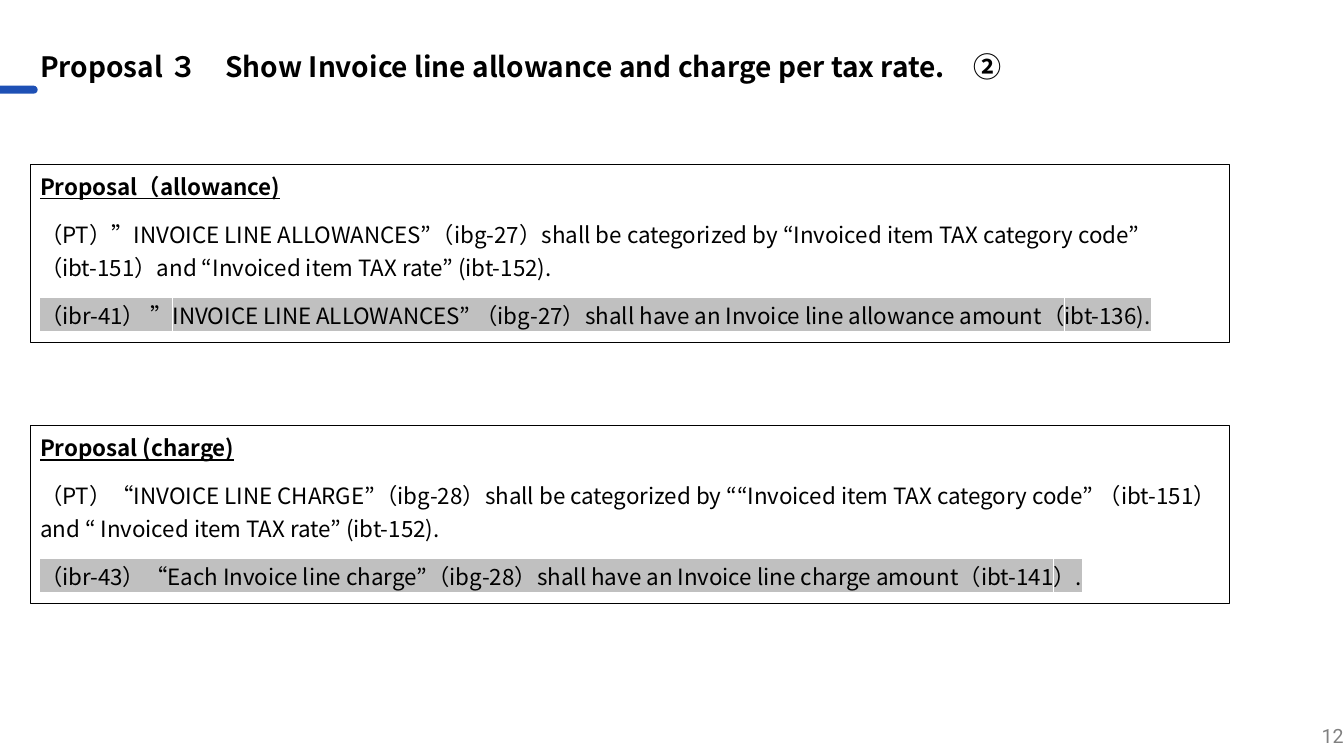
from dataclasses import dataclass

from lxml import etree
from pptx import Presentation
from pptx.dml.color import RGBColor
from pptx.enum.shapes import MSO_SHAPE
from pptx.enum.text import MSO_ANCHOR, PP_ALIGN
from pptx.oxml.ns import qn
from pptx.util import Cm, Pt

RECTANGLE = MSO_SHAPE.RECTANGLE
ROUNDED_RECTANGLE = MSO_SHAPE.ROUNDED_RECTANGLE
TOP, MIDDLE = MSO_ANCHOR.TOP, MSO_ANCHOR.MIDDLE
LEFT, RIGHT = PP_ALIGN.LEFT, PP_ALIGN.RIGHT


@dataclass(frozen=True)
class Theme:
    text: RGBColor = RGBColor(0x00, 0x00, 0x00)
    accent: RGBColor = RGBColor(0x1E, 0x50, 0xB5)
    page_number: RGBColor = RGBColor(0x80, 0x80, 0x80)
    highlight: str = "C0C0C0"
    font: str = "Noto Sans CJK JP"
    number_font: str = "Roboto"
    title_size: Pt = Pt(20)
    body_size: Pt = Pt(16)
    number_size: Pt = Pt(14)


THEME = Theme()


def write_text(paragraph, text, size=THEME.body_size, color=THEME.text, font_name=THEME.font,
               bold=False, underline=False, highlight=None, align=LEFT,
               line_spacing=None, space_before=None):
    paragraph.alignment = align
    paragraph.line_spacing = line_spacing
    paragraph.space_before = space_before
    run = paragraph.add_run()
    run.text = text
    font = run.font
    font.size, font.bold, font.underline = size, bold, underline
    font.color.rgb = color
    properties = run._r.get_or_add_rPr()
    if highlight:
        marker = etree.SubElement(properties, qn("a:highlight"))
        etree.SubElement(marker, qn("a:srgbClr"), val=highlight)
    font.name = font_name
    etree.SubElement(properties, qn("a:ea"), typeface=font_name)


def prepare_frame(shape, anchor):
    """Turn on wrapping, set the vertical anchor and return the text frame."""
    frame = shape.text_frame
    frame.word_wrap = True
    frame.vertical_anchor = anchor
    return frame


presentation = Presentation()
presentation.slide_width = Cm(33.87)
presentation.slide_height = Cm(19.05)
slide = presentation.slides.add_slide(presentation.slide_layouts[6])

# Title with its accent bar
accent_bar = slide.shapes.add_shape(ROUNDED_RECTANGLE, Cm(-0.25), Cm(2.16), Cm(1.2), Cm(0.2))
accent_bar.adjustments[0] = 0.5
accent_bar.shadow.inherit = False
accent_bar.fill.solid()
accent_bar.fill.fore_color.rgb = THEME.accent
accent_bar.line.fill.background()

title = slide.shapes.add_textbox(Cm(0.76), Cm(1.22), Cm(30.35), Cm(1.02))
write_text(prepare_frame(title, MIDDLE).paragraphs[0],
           "Proposal ３　Show Invoice line allowance and charge per tax rate.　②",
           size=THEME.title_size, bold=True, line_spacing=0.9)

# Proposal boxes: heading, categorization rule, highlighted rule
proposals = [
    ("Proposal（allowance)",
     "（PT）”INVOICE LINE ALLOWANCES”（ibg-27）shall be categorized by “Invoiced item TAX "
     "category code” （ibt-151）and “Invoiced item TAX rate” (ibt-152).",
     "（ibr-41） ”INVOICE LINE ALLOWANCES” （ibg-27）shall have an Invoice line allowance "
     "amount（ibt-136)."),
    ("Proposal (charge)",
     "（PT）“INVOICE LINE CHARGE”（ibg-28）shall be categorized by ““Invoiced item TAX "
     "category code” （ibt-151）and “ Invoiced item TAX rate” (ibt-152).",
     "（ibr-43）“Each Invoice line charge”（ibg-28）shall have an Invoice line charge "
     "amount（ibt-141）."),
]
paragraph_formats = [
    {"bold": True, "underline": True, "line_spacing": Pt(22)},
    {"line_spacing": Pt(24)},
    {"line_spacing": Pt(24), "highlight": THEME.highlight},
]
first_box_top, box_pitch = 4.14, 6.58

for index, texts in enumerate(proposals):
    box = slide.shapes.add_shape(RECTANGLE, Cm(0.76), Cm(first_box_top + index * box_pitch),
                                 Cm(30.23), Cm(4.5))
    box.shadow.inherit = False
    box.fill.background()
    box.line.color.rgb = THEME.text
    box.line.width = Pt(0.75)
    frame = prepare_frame(box, TOP)
    for position, (text, text_format) in enumerate(zip(texts, paragraph_formats)):
        paragraph = frame.add_paragraph() if position else frame.paragraphs[0]
        write_text(paragraph, text, space_before=Pt(10), **text_format)

# Page number
page_number = slide.shapes.add_textbox(Cm(26.24), Cm(18.03), Cm(7.62), Cm(1.02))
write_text(prepare_frame(page_number, MIDDLE).paragraphs[0], "12", size=THEME.number_size,
           color=THEME.page_number, font_name=THEME.number_font, align=RIGHT)
page_number.text_frame.margin_right = Cm(0)

presentation.save("out.pptx")
